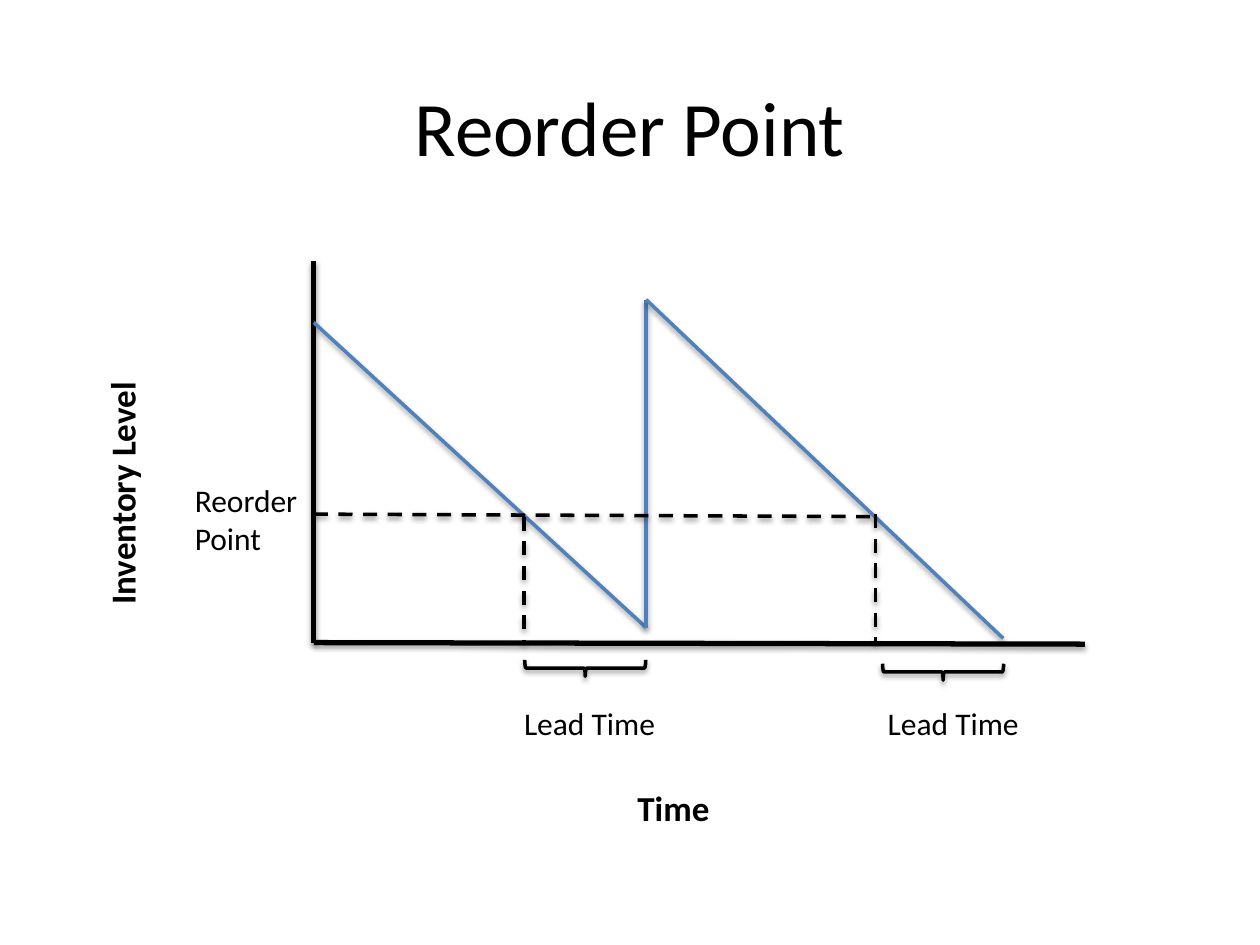
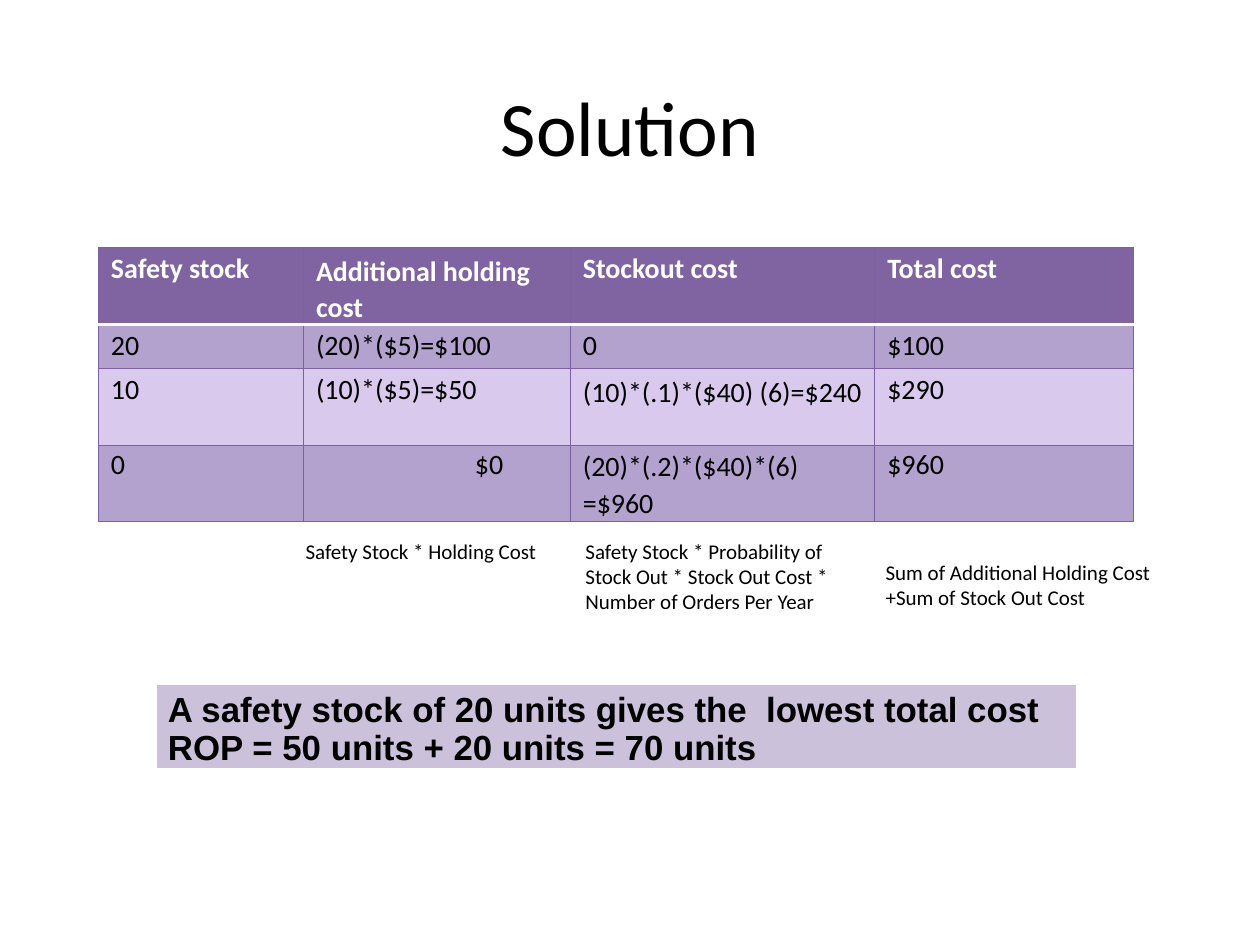
from dataclasses import dataclass

import pptx
import pptx.dml.color
import pptx.enum.dml
import pptx.enum.shapes
import pptx.enum.text
import pptx.oxml
import pptx.oxml.ns
import pptx.util
from lxml import etree

Pt = pptx.util.Pt
ANCHOR = pptx.enum.text.MSO_ANCHOR
SHAPE = pptx.enum.shapes.MSO_SHAPE
TITLE_ONLY = 5
BODY_FONT = "Calibri"
COLORS = {
    "text": "000000",
    "white": "FFFFFF",
    "stock": "4F81BD",
    "header": "8064A2",
    "border": "7D60A0",
    "dark_row": "B3A1CE",
    "light_row": "D9CAED",
    "answer": "CCC1DA",
}


@dataclass
class Line:
    x1: float
    y1: float
    x2: float
    y2: float
    color: str = "text"
    width: float = 2
    dashed: bool = False


@dataclass
class Label:
    text: str
    left: float
    top: float
    width: float
    height: float
    size: float = 18
    bold: bool = False
    rotation: float = 0
    wrap: bool = True


@dataclass
class Cell:
    text: str
    top: float = 2.2
    left: float = 7.2
    spacing: float | None = None


def rgb(name: str) -> pptx.dml.color.RGBColor:
    return pptx.dml.color.RGBColor.from_string(COLORS[name])


def style_text(tf, size: float, color: str = "text", bold: bool = False,
               font: str = BODY_FONT) -> None:
    for p in tf.paragraphs:
        for r in p.runs:
            r.font.name = font
            r.font.size = Pt(size)
            r.font.bold = bold
            r.font.color.rgb = rgb(color)


def set_margins(box, left: float, top: float) -> None:
    box.margin_left, box.margin_top = Pt(left), Pt(top)
    box.margin_right = box.margin_bottom = 0


def add_title_slide(prs, title: str):
    s = prs.slides.add_slide(prs.slide_layouts[TITLE_ONLY])
    sp = s.shapes.title
    sp.left, sp.top, sp.width, sp.height = Pt(36), Pt(27), Pt(648), Pt(90)
    tf = sp.text_frame
    tf.text = title
    tf.vertical_anchor = ANCHOR.MIDDLE
    tf.paragraphs[0].alignment = pptx.enum.text.PP_ALIGN.CENTER
    style_text(tf, 44)
    return s


def add_shadow(sp) -> None:
    """Soft shadow straight below the shape."""
    sp._element.spPr.append(pptx.oxml.parse_xml(
        f'<a:effectLst {pptx.oxml.ns.nsdecls("a")}>'
        f'<a:outerShdw blurRad="{Pt(3.1)}" dist="{Pt(1.6)}" dir="5400000" rotWithShape="0">'
        f'<a:srgbClr val="{COLORS["text"]}"><a:alpha val="38000"/></a:srgbClr>'
        '</a:outerShdw></a:effectLst>'))


def add_line(s, line: Line) -> None:
    cn = s.shapes.add_connector(
        pptx.enum.shapes.MSO_CONNECTOR.STRAIGHT,
        Pt(line.x1), Pt(line.y1), Pt(line.x2), Pt(line.y2))
    cn.line.color.rgb = rgb(line.color)
    cn.line.width = Pt(line.width)
    if line.dashed:
        cn.line.dash_style = pptx.enum.dml.MSO_LINE.DASH
    add_shadow(cn)


def add_label(s, label: Label) -> None:
    sp = s.shapes.add_textbox(
        Pt(label.left), Pt(label.top), Pt(label.width), Pt(label.height))
    sp.rotation = label.rotation
    tf = sp.text_frame
    tf.word_wrap = label.wrap
    tf.text = label.text
    style_text(tf, label.size, bold=label.bold)


def add_brace(s, center_x: float, center_y: float) -> None:
    depth, span = 9.4, 69.2
    sp = s.shapes.add_shape(
        SHAPE.RIGHT_BRACE, Pt(center_x - depth / 2), Pt(center_y - span / 2),
        Pt(depth), Pt(span))
    sp.rotation = 90
    sp.fill.background()
    sp.line.color.rgb = rgb("text")
    sp.line.width = Pt(2)
    add_shadow(sp)


def add_border(cell, side: str, color: str, width: float) -> None:
    tc_pr = cell._tc.get_or_add_tcPr()
    qn = pptx.oxml.ns.qn
    ln = etree.SubElement(tc_pr, qn(f"a:ln{side}"), w=str(Pt(width)))
    fill = etree.SubElement(ln, qn("a:solidFill"))
    etree.SubElement(fill, qn("a:srgbClr"), val=COLORS[color])


def build_reorder_slide(prs) -> None:
    s = add_title_slide(prs, "Reorder Point")
    axis_x, axis_y = 179.3, 367.5
    reorder_y = 294.5
    reorder_x1, reorder_x2 = 299.5, 500.4
    refill_x, refill_low, refill_high = 369.2, 358.6, 171.2

    # Axes, stock level and reorder lines
    lines = [
        Line(axis_x, 149, axis_x, axis_y, width=3),
        Line(axis_x, axis_y - 0.3, 619.9, axis_y + 0.6, width=3),
        Line(axis_x, 184.3, refill_x, refill_low, "stock"),
        Line(refill_x, refill_low, refill_x, refill_high, "stock"),
        Line(refill_x, refill_high, 573.3, 364.8, "stock"),
        Line(axis_x, reorder_y - 0.7, reorder_x2, reorder_y + 0.7, dashed=True),
        Line(reorder_x1, reorder_y + 0.7, reorder_x1, axis_y, dashed=True),
        Line(reorder_x2, reorder_y - 0.7, reorder_x2, axis_y, dashed=True),
    ]
    for line in lines:
        add_line(s, line)

    # Axis names and labels
    labels = [
        Label("Inventory Level", -18, 249, 175.7, 31.7, 20, True, 270),
        Label("Reorder Point", 104.2, 271.5, 78.5, 51),
        Label("Time", 357.1, 445.7, 154.8, 31.7, 20, True),
        Label("Lead Time", 292.4, 399, 98.6, 29.5),
        Label("Lead Time", 500.2, 399, 98.6, 29.5),
    ]
    for label in labels:
        add_label(s, label)

    # Lead time braces
    add_brace(s, 334.4, 381.8)
    add_brace(s, 538.9, 384)


def add_cost_table(s) -> None:
    widths = [117.2, 152.5, 174, 147.8]
    heights = [43.8, 25.2, 43.8, 43.5]
    fills = ["header", "dark_row", "light_row", "dark_row"]
    rows = [
        [Cell("Safety stock"), Cell("Additional holding cost", 3.6, spacing=20.2),
         Cell("Stockout cost"), Cell("Total cost")],
        [Cell("20"), Cell("(20)*($5)=$100"), Cell("0"), Cell("$100")],
        [Cell("10"), Cell("(10)*($5)=$50"),
         Cell("(10)*(.1)*($40) (6)=$240", 3.6, spacing=20.2), Cell("$290")],
        [Cell("0", 1.4), Cell("$0", 1.4, left=98),
         Cell("(20)*(.2)*($40)*(6)\n=$960", 1.4, spacing=20.9), Cell("$960", 1.4)],
    ]
    tbl = s.shapes.add_table(
        len(rows), len(widths), Pt(56.2), Pt(141.5),
        Pt(sum(widths)), Pt(sum(heights))).table
    for column, width in zip(tbl.columns, widths):
        column.width = Pt(width)
    for i, (height, fill, row) in enumerate(zip(heights, fills, rows)):
        tbl.rows[i].height = Pt(height)
        for j, content in enumerate(row):
            cell = tbl.cell(i, j)
            for side in "LRTB":
                under_header = (i, side) in ((0, "B"), (1, "T"))
                add_border(cell, side, *(("white", 2) if under_header else ("border", 0.75)))
            cell.fill.solid()
            cell.fill.fore_color.rgb = rgb(fill)
            set_margins(cell, content.left, content.top)
            tf = cell.text_frame
            tf.text = content.text
            if content.spacing:
                for p in tf.paragraphs:
                    p.line_spacing = Pt(content.spacing)
            style_text(tf, 16, "white" if i == 0 else "text", bold=i == 0)


def add_answer(s) -> None:
    sp = s.shapes.add_shape(SHAPE.RECTANGLE, Pt(89.5), Pt(391), Pt(525.5), Pt(48))
    sp.shadow.inherit = False
    sp.fill.solid()
    sp.fill.fore_color.rgb = rgb("answer")
    sp.line.color.rgb = rgb("white")
    sp.line.width = Pt(0.25)
    tf = sp.text_frame
    tf.word_wrap = True
    tf.vertical_anchor = ANCHOR.TOP
    set_margins(tf, 6.5, 3.6)
    tf.text = ("A safety stock of 20 units gives the  lowest total cost\n"
               "ROP = 50 units + 20 units = 70 units")
    for p, spacing in zip(tf.paragraphs, (22.3, 21.9)):
        p.alignment = pptx.enum.text.PP_ALIGN.LEFT
        p.line_spacing = Pt(spacing)
    style_text(tf, 19.9, bold=True, font="Arial")


def build_solution_slide(prs) -> None:
    s = add_title_slide(prs, "Solution")
    add_cost_table(s)
    add_answer(s)

    # Formulas under the columns
    formulas = [
        Label("Safety Stock * Holding Cost", 167.5, 304, 147.6, 21.6, 12, wrap=False),
        Label("Safety Stock * Probability of Stock Out * Stock Out Cost * "
              "Number of Orders Per Year", 327.5, 304, 172, 51, 12),
        Label("Sum of Additional Holding Cost +Sum of Stock Out Cost",
              499, 316, 172, 36, 12),
    ]
    for formula in formulas:
        add_label(s, formula)


def main() -> None:
    prs = pptx.Presentation()
    prs.slide_width, prs.slide_height = Pt(720), Pt(540)
    build_reorder_slide(prs)
    build_solution_slide(prs)
    prs.save("out.pptx")


if __name__ == "__main__":
    main()
